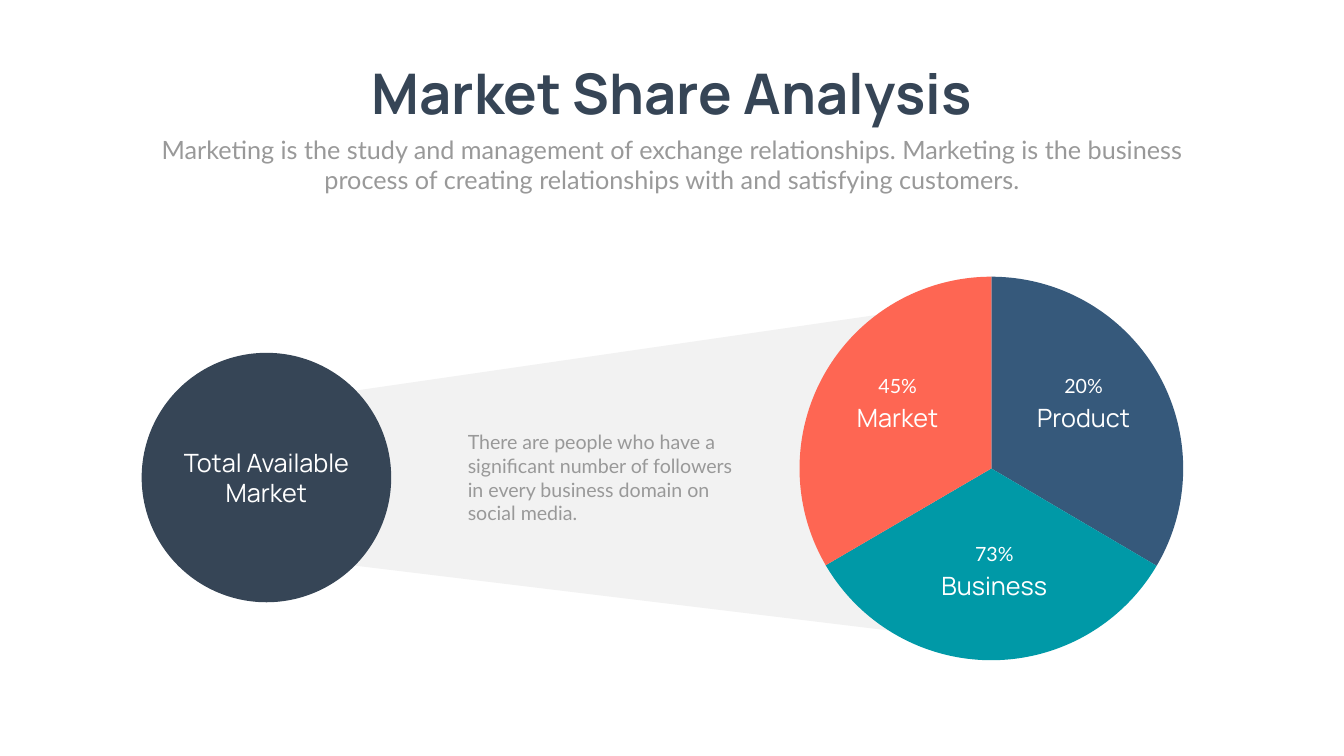
import pptx
import pptx.dml.color
import pptx.enum.shapes
import pptx.enum.text
import pptx.oxml
import pptx.oxml.ns
import pptx.util

Pt = pptx.util.Pt
SHAPES = pptx.enum.shapes.MSO_SHAPE
ALIGN = pptx.enum.text.PP_ALIGN

COLORS = {
    "navy": "364556",
    "grey": "999999",
    "white": "FFFFFF",
    "funnel": "808080",
    "blue": "36597B",
    "teal": "0099A7",
    "coral": "FE6653",
}


class SlideBuilder:
    """Holds the style and the current slide, and draws each kind of element."""

    heading_font = "Manrope"
    body_font = "Lato"

    def __init__(self, slide):
        self.slide = slide

    def color(self, name):
        return pptx.dml.color.RGBColor.from_string(COLORS[name])

    def paint(self, shape, color, opacity=100):
        shape.shadow.inherit = False
        shape.fill.solid()
        shape.fill.fore_color.rgb = self.color(color)
        shape.line.fill.background()
        if opacity < 100:
            color_element = shape.element.spPr.find(".//" + pptx.oxml.ns.qn("a:srgbClr"))
            alpha = pptx.oxml.parse_xml(
                f'<a:alpha {pptx.oxml.ns.nsdecls("a")} val="{opacity * 1000}"/>')
            color_element.append(alpha)

    def add_lines(self, frame, lines, size, font, color, align=ALIGN.CENTER, bold=False):
        for index, line in enumerate(lines):
            paragraph = frame.add_paragraph() if index else frame.paragraphs[0]
            paragraph.alignment = align
            run = paragraph.add_run()
            run.text = line
            run.font.size = Pt(size)
            run.font.name = font
            run.font.bold = bold
            run.font.color.rgb = self.color(color)

    def text(self, left, top, width, height, line, size, font, color, wrap=True, **style):
        box = self.slide.shapes.add_textbox(Pt(left), Pt(top), Pt(width), Pt(height))
        frame = box.text_frame
        frame.word_wrap = wrap
        frame.auto_size = pptx.enum.text.MSO_AUTO_SIZE.SHAPE_TO_FIT_TEXT
        self.add_lines(frame, [line], size, font, color, **style)

    def polygon(self, points, color, opacity):
        (left, top), *others = [(Pt(x), Pt(y)) for x, y in points]
        builder = self.slide.shapes.build_freeform(left, top)
        builder.add_line_segments(others, close=True)
        self.paint(builder.convert_to_shape(), color, opacity)

    def circle(self, left, top, diameter, color, lines):
        shape = self.slide.shapes.add_shape(
            SHAPES.OVAL, Pt(left), Pt(top), Pt(diameter), Pt(diameter))
        self.paint(shape, color)
        frame = shape.text_frame
        frame.word_wrap = False
        frame.vertical_anchor = pptx.enum.text.MSO_ANCHOR.MIDDLE
        self.add_lines(frame, lines, 36, self.heading_font, "white")

    def pie(self, left, top, diameter, sectors):
        group = self.slide.shapes.add_group_shape()
        for color, start, end in sectors:
            shape = group.shapes.add_shape(
                SHAPES.PIE, Pt(left), Pt(top), Pt(diameter), Pt(diameter))
            for index, degrees in enumerate((start, end)):
                shape.adjustments[index] = degrees * 0.6
            self.paint(shape, color)

    def sector_label(self, center, top, percent, name):
        self.text(center - 50, top, 100, 41, percent, 28, self.body_font, "white")
        self.text(center - 129, top + 40.5, 258, 51, name, 36, self.heading_font, "white")


def main():
    presentation = pptx.Presentation()
    presentation.slide_width = Pt(1919.5)
    presentation.slide_height = Pt(1080)
    builder = SlideBuilder(presentation.slides.add_slide(presentation.slide_layouts[6]))

    builder.polygon([(375, 792), (1288.8, 903), (1286, 445), (383.8, 576)], "funnel", 10)
    builder.text(486.7, 80.6, 946, 104.4, "Market Share Analysis", 80,
                 builder.heading_font, "navy", wrap=False, bold=True)
    builder.text(210.2, 188, 1499, 94.3,
                 "Marketing is the study and management of exchange relationships. "
                 "Marketing is the business process of creating relationships with "
                 "and satisfying customers.", 36, builder.body_font, "grey")
    builder.circle(202.3, 504, 356.4, "navy", ["Total Available", "Market"])
    builder.text(661, 611.3, 393.8, 143.3,
                 "There are people who have a significant number of followers in "
                 "every business domain on social media.", 28, builder.body_font, "grey",
                 align=ALIGN.LEFT)

    builder.pie(1141.9, 395.3, 547.9, [
        ("blue", 270, 30.5),
        ("teal", 30.5, 149.7),
        ("coral", 149.7, 270),
    ])
    for label in [
        (1547.5, 530, "20%", "Product"),
        (1282, 530, "45%", "Market"),
        (1420, 770, "73%", "Business"),
    ]:
        builder.sector_label(*label)

    presentation.save("out.pptx")


if __name__ == "__main__":
    main()
